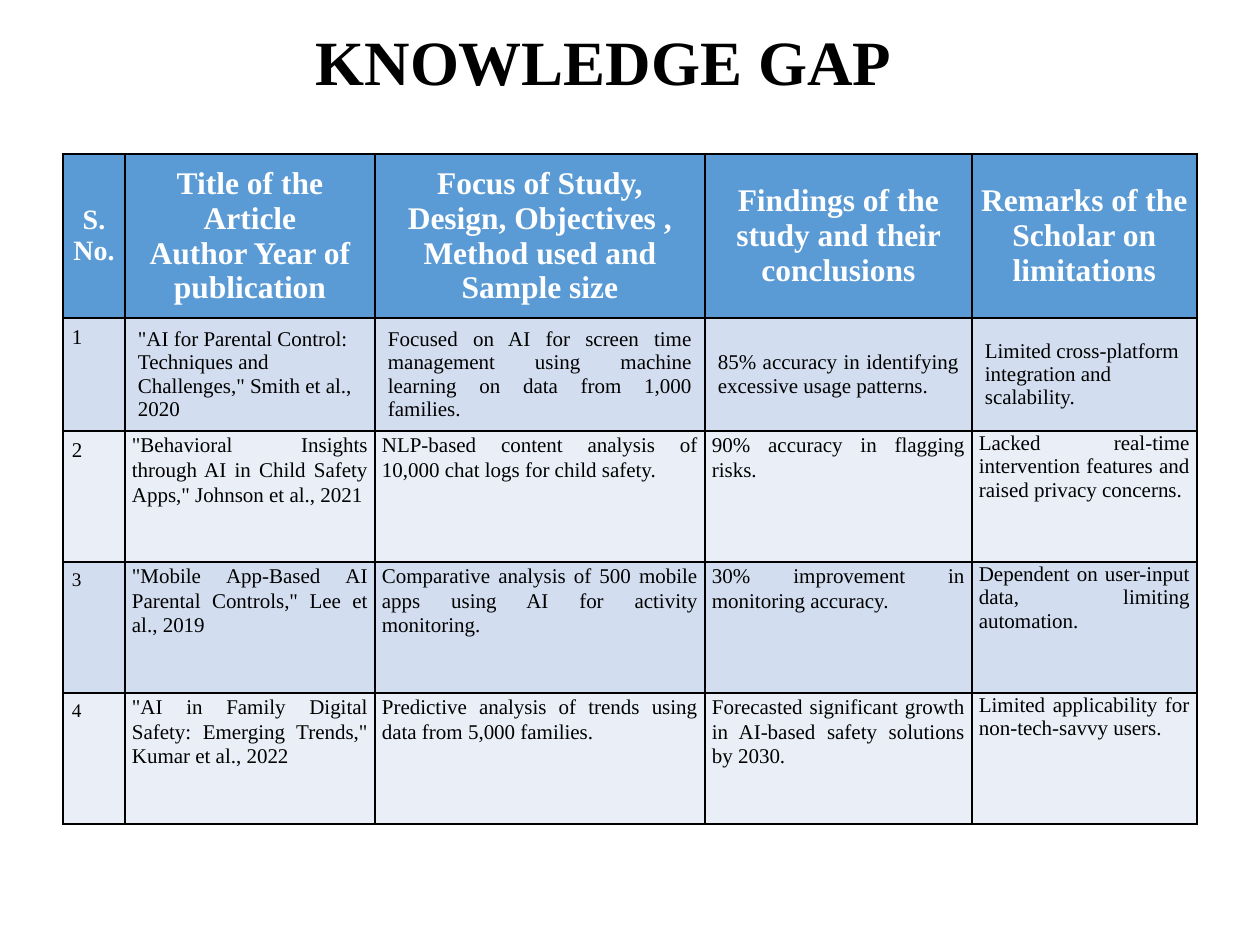
from dataclasses import dataclass

from lxml import etree
from pptx import Presentation
from pptx.dml.color import RGBColor
from pptx.enum.text import MSO_ANCHOR, MSO_AUTO_SIZE, PP_ALIGN
from pptx.oxml.ns import qn
from pptx.util import Emu, Pt

TOP, MIDDLE = MSO_ANCHOR.TOP, MSO_ANCHOR.MIDDLE
LEFT, CENTER, JUSTIFY = PP_ALIGN.LEFT, PP_ALIGN.CENTER, PP_ALIGN.JUSTIFY
NO_AUTOFIT = MSO_AUTO_SIZE.NONE

BLACK = RGBColor(0x00, 0x00, 0x00)
WHITE = RGBColor(0xFF, 0xFF, 0xFF)
HEADER_BLUE = RGBColor(0x5B, 0x9B, 0xD5)
BAND_DARK = RGBColor(0xD2, 0xDE, 0xEF)
BAND_LIGHT = RGBColor(0xEA, 0xEF, 0xF7)

FONT = "Times New Roman"
PX_PER_INCH = 126
BORDER_WIDTH = Pt(1)
TABLE_LEFT, TABLE_TOP = 63, 154
COLUMN_WIDTHS = [62, 250, 330, 267, 225]
ROW_HEIGHTS = [164, 113, 131, 131, 131]


@dataclass(frozen=True)
class CellStyle:
    size: int
    align: PP_ALIGN
    anchor: MSO_ANCHOR = TOP
    margins: tuple[int, int, int, int] = (9, 6, 9, 6)
    color: RGBColor = BLACK
    bold: bool = False
    spacing: float = 1.0
    space_after: int = 0


HEADER_NUMBER = CellStyle(16, CENTER, MIDDLE, color=WHITE, bold=True)
HEADER = CellStyle(18, CENTER, MIDDLE, color=WHITE, bold=True)
NUMBER = CellStyle(12, JUSTIFY, spacing=1.07, space_after=8)
SMALL_NUMBER = CellStyle(11, JUSTIFY, spacing=1.07, space_after=8)
FIRST_LEFT = CellStyle(12, LEFT, MIDDLE, (13, 6, 13, 6))
FIRST_JUSTIFIED = CellStyle(12, JUSTIFY, MIDDLE, (13, 6, 13, 6))
BODY = CellStyle(12, JUSTIFY, margins=(7, 1, 7, 0), spacing=1.07, space_after=8)
REMARK = CellStyle(12, JUSTIFY, margins=(7, 1, 7, 0))

HEADER_STYLES = [HEADER_NUMBER] + [HEADER] * 4
FIRST_STYLES = [NUMBER, FIRST_LEFT, FIRST_JUSTIFIED, FIRST_JUSTIFIED, FIRST_LEFT]
SECOND_STYLES = [NUMBER, BODY, BODY, BODY, REMARK]
LATER_STYLES = [SMALL_NUMBER, BODY, BODY, BODY, REMARK]


@dataclass(frozen=True)
class StudyRow:
    fill: RGBColor
    styles: list[CellStyle]
    texts: list[str]


ROWS = [
    StudyRow(HEADER_BLUE, HEADER_STYLES, [
        "S. No.",
        "Title of the Article\nAuthor Year of publication",
        "Focus of Study, Design, Objectives , Method used and Sample size",
        "Findings of the study and their conclusions",
        "Remarks of the Scholar on limitations",
    ]),
    StudyRow(BAND_DARK, FIRST_STYLES, [
        "1",
        '"AI for Parental Control: Techniques and Challenges," Smith et al., 2020',
        "Focused on AI for screen time management using machine learning on data "
        "from 1,000 families.",
        "85% accuracy in identifying excessive usage patterns.",
        "Limited cross-platform integration and scalability.",
    ]),
    StudyRow(BAND_LIGHT, SECOND_STYLES, [
        "2",
        '"Behavioral Insights through AI in Child Safety Apps," Johnson et al., 2021',
        "NLP-based content analysis of 10,000 chat logs for child safety.",
        "90% accuracy in flagging risks.",
        "Lacked real-time intervention features and raised privacy concerns.",
    ]),
    StudyRow(BAND_DARK, LATER_STYLES, [
        "3",
        '"Mobile App-Based AI Parental Controls," Lee et al., 2019',
        "Comparative analysis of 500 mobile apps using AI for activity monitoring.",
        "30% improvement in monitoring accuracy.",
        "Dependent on user-input data, limiting automation.",
    ]),
    StudyRow(BAND_LIGHT, LATER_STYLES, [
        "4",
        '"AI in Family Digital Safety: Emerging Trends," Kumar et al., 2022',
        "Predictive analysis of trends using data from 5,000 families.",
        "Forecasted significant growth in AI-based safety solutions by 2030.",
        "Limited applicability for non-tech-savvy users.",
    ]),
]


def px(length: int) -> Emu:
    return Emu(round(length * 914400 / PX_PER_INCH))


def add_span(para, text: str, size: int, color: RGBColor, bold: bool) -> None:
    span = para.add_run()
    span.text = text
    span.font.name = FONT
    span.font.size = Pt(size)
    span.font.bold = bold
    span.font.color.rgb = color


def add_borders(cell) -> None:
    properties = cell._tc.get_or_add_tcPr()
    for side in ("a:lnL", "a:lnR", "a:lnT", "a:lnB"):
        line = etree.SubElement(properties, qn(side), w=str(BORDER_WIDTH))
        fill = etree.SubElement(line, qn("a:solidFill"))
        etree.SubElement(fill, qn("a:srgbClr"), val=str(BLACK))


def fill_cell(cell, text: str, style: CellStyle, fill: RGBColor) -> None:
    add_borders(cell)
    cell.fill.solid()
    cell.fill.fore_color.rgb = fill
    cell.vertical_anchor = style.anchor
    left, top, right, bottom = style.margins
    cell.margin_left, cell.margin_top = px(left), px(top)
    cell.margin_right, cell.margin_bottom = px(right), px(bottom)
    frame = cell.text_frame
    for index, line in enumerate(text.split("\n")):
        para = frame.add_paragraph() if index else frame.paragraphs[0]
        para.alignment = style.align
        para.line_spacing = style.spacing
        para.space_after = Pt(style.space_after)
        add_span(para, line, style.size, style.color, style.bold)


def add_title(page) -> None:
    title = page.shapes.title
    title.left, title.top = px(105), px(21)
    title.width, title.height = px(997), px(89)
    frame = title.text_frame
    frame.auto_size = NO_AUTOFIT
    frame.vertical_anchor = MIDDLE
    para = frame.paragraphs[0]
    para.alignment = CENTER
    para.line_spacing = 0.9
    add_span(para, "KNOWLEDGE GAP", 36, BLACK, True)


def add_study_table(page) -> None:
    table = page.shapes.add_table(
        len(ROWS), len(COLUMN_WIDTHS), px(TABLE_LEFT), px(TABLE_TOP),
        px(sum(COLUMN_WIDTHS)), px(sum(ROW_HEIGHTS)),
    ).table
    for column, width in zip(table.columns, COLUMN_WIDTHS):
        column.width = px(width)
    for row, height, study in zip(table.rows, ROW_HEIGHTS, ROWS):
        row.height = px(height)
        for cell, text, style in zip(row.cells, study.texts, study.styles):
            fill_cell(cell, text, style, study.fill)


def main() -> None:
    deck = Presentation()
    deck.slide_width, deck.slide_height = px(1260), px(945)
    page = deck.slides.add_slide(deck.slide_layouts[5])
    add_title(page)
    add_study_table(page)
    deck.save("out.pptx")


if __name__ == "__main__":
    main()
